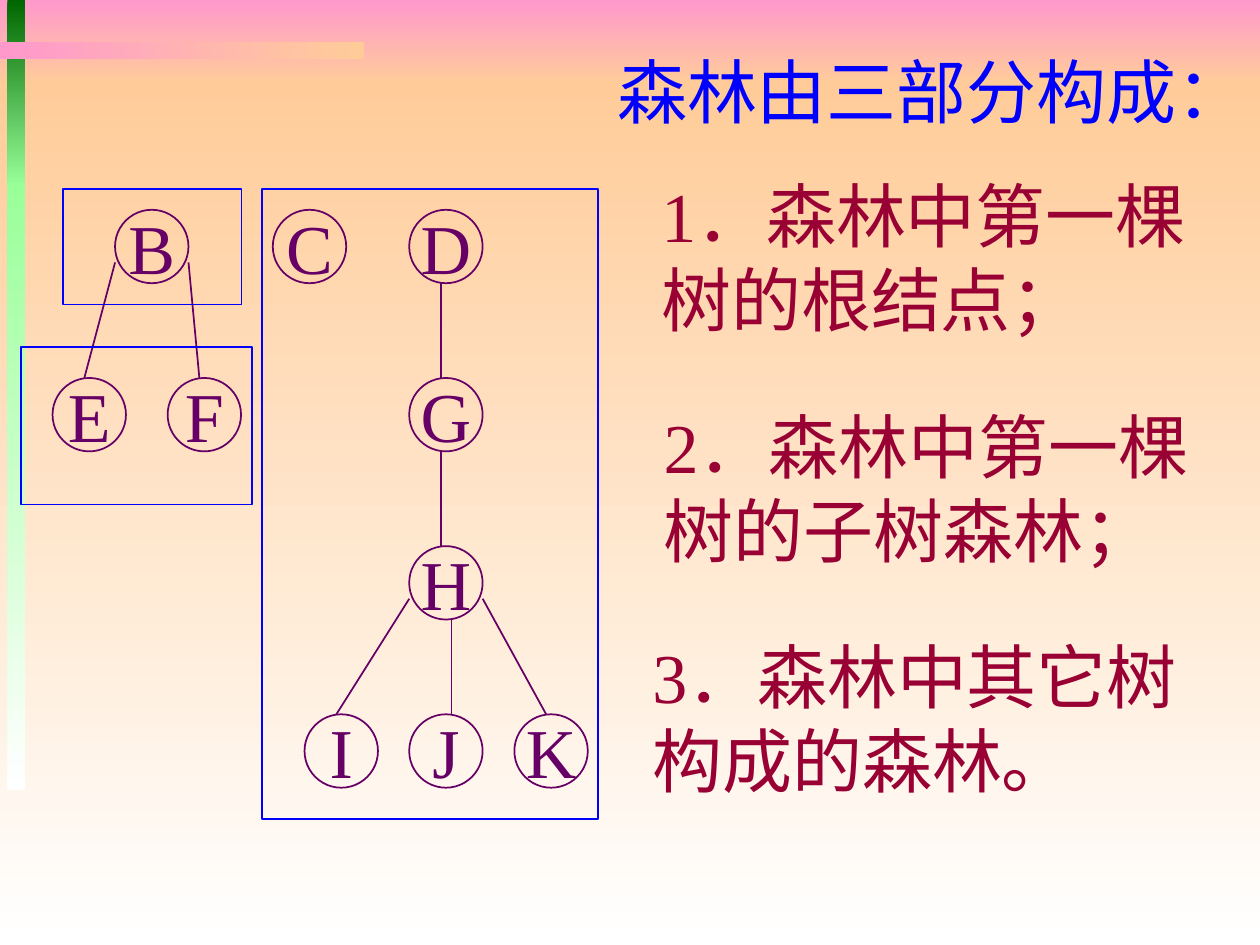
"""Build a slide that splits a forest into its three parts."""
from dataclasses import dataclass

import pptx
import pptx.dml.color
import pptx.enum.shapes
import pptx.enum.text
import pptx.oxml.ns
import pptx.oxml.xmlchemy
import pptx.util
from lxml import etree

Cm, Pt = pptx.util.Cm, pptx.util.Pt
Shape = pptx.enum.shapes.MSO_SHAPE
qn = pptx.oxml.ns.qn


@dataclass(frozen=True)
class Theme:
    """Colours, fonts and sizes of the slide."""
    pink: str = "FF99CC"
    peach: str = "FFCC99"
    white: str = "FFFFFF"
    dark_green: str = "006600"
    light_green: str = "99FF99"
    tree: str = "660066"
    frame: str = "0000FF"
    title: str = "0000FF"
    point: str = "990033"
    latin: str = "Times New Roman"
    chinese: str = "Noto Sans CJK SC"
    size: int = 40
    pitch: int = 48
    line: int = 1


THEME = Theme()
NODE = 1.48
NODE_TOP, ROW_STEP = 0.42, 3.39
NODES = {
    "B": (1.9, 0), "C": (5.08, 0), "D": (7.83, 0),
    "E": (0.64, 1), "F": (2.96, 1), "G": (7.83, 1),
    "H": (7.83, 2),
    "I": (5.72, 3), "J": (7.83, 3), "K": (9.95, 3),
}
LEFT, RIGHT, BELOW = (0, 1.06), (NODE, 1.06), (0.64, NODE)
EDGES = [
    ("B", "E", LEFT, 0.64), ("B", "F", RIGHT, 0.64),
    ("D", "G", BELOW, 0.64), ("G", "H", BELOW, 0.64),
    ("H", "J", (0.85, NODE), 0.85),
    ("H", "I", LEFT, 0.64), ("H", "K", RIGHT, 0.64),
]
FRAMES = [(0.85, 0, 3.6, 2.33), (0, 3.18, 4.66, 3.18), (4.87, 0, 6.77, 12.7)]
POINTS = [
    ("1", "．森林中第一棵树的根结点；", 0.18, 11.89),
    ("2", "．森林中第一棵树的子树森林；", 0.23, 11.63),
    ("3", "．森林中其它树构成的森林。", 0, 12.01),
]
POINT_STEP, POINT_HEIGHT = 4.65, 3.63


def set_values(target, values):
    """Set each named attribute of the target."""
    for name, value in values.items():
        setattr(target, name, value)


def rgb(code):
    """Return the colour of a hex code."""
    return pptx.dml.color.RGBColor.from_string(code)


def place(shape, box):
    """Give a shape its left, top, width and height in centimetres."""
    set_values(shape, dict(zip(("left", "top", "width", "height"), map(Cm, box))))


def add_span(para, text, color, font=THEME.latin):
    """Add a run of text with its Latin and Chinese fonts."""
    span = para.add_run()
    span.text = text
    set_values(span.font, {"size": Pt(THEME.size), "name": font, "bold": False})
    span.font.color.rgb = rgb(color)
    east_asian = etree.SubElement(span.font._element, qn("a:ea"))
    east_asian.set("typeface", THEME.chinese)


def draw_shape(page, kind, box, color=None):
    """Add an unfilled shape, outlined when a colour is given."""
    shape = page.shapes.add_shape(kind, *map(Cm, box))
    shape.shadow.inherit = False
    shape.fill.background()
    if color:
        shape.line.color.rgb = rgb(color)
        shape.line.width = Pt(THEME.line)
    else:
        shape.line.fill.background()
    return shape


def draw_backdrop(page, box):
    """Draw the gradient bands and stripes over the box."""
    left, top, width, height = box
    bands = [
        ((0, 0, width, 1.7), THEME.pink, THEME.peach, 270),
        ((0, 1.7, width, height - 1.7), THEME.peach, THEME.white, 270),
        ((0.15, 0, 0.36, 3.76), THEME.dark_green, THEME.light_green, 270),
        ((0.15, 3.71, 0.36, 12.22), THEME.light_green, THEME.white, 270),
        ((0, 0.84, 7.34, 0.36), THEME.pink, THEME.peach, 0),
    ]
    for (x, y, wide, high), start, end, angle in bands:
        band = draw_shape(page, Shape.RECTANGLE, (left + x, top + y, wide, high))
        band.fill.gradient()
        band.fill.gradient_angle = angle
        for stop, color in zip(band.fill.gradient_stops, (start, end)):
            stop.color.rgb = rgb(color)


def draw_forest(page, box):
    """Draw the nodes, edges and frames of the forest."""
    left, top = box[:2]
    corners = {name: (left + x, top + NODE_TOP + row * ROW_STEP)
               for name, (x, row) in NODES.items()}
    for name, (x, y) in corners.items():
        node = draw_shape(page, Shape.OVAL, (x, y, NODE, NODE), THEME.tree)
        set_values(node.text_frame, {
            "margin_left": 0, "margin_right": 0, "margin_top": 0,
            "margin_bottom": 0, "word_wrap": False,
            "vertical_anchor": pptx.enum.text.MSO_ANCHOR.MIDDLE})
        para = node.text_frame.paragraphs[0]
        para.alignment = pptx.enum.text.PP_ALIGN.CENTER
        add_span(para, name, THEME.tree)
    for parent, child, (dx, dy), end_x in EDGES:
        (px, py), (cx, cy) = corners[parent], corners[child]
        edge = page.shapes.add_connector(
            pptx.enum.shapes.MSO_CONNECTOR.STRAIGHT,
            *map(Cm, (px + dx, py + dy, cx + end_x, cy)))
        edge.line.color.rgb = rgb(THEME.tree)
        edge.line.width = Pt(THEME.line)
        etree.SubElement(edge._element.spPr, qn("a:effectLst"))
    for x, y, wide, high in FRAMES:
        draw_shape(page, Shape.RECTANGLE, (left + x, top + y, wide, high), THEME.frame)


def prepare_text(holder, box, wrap):
    """Move a placeholder to the front and return its plain paragraph."""
    holder.element.getparent().append(holder.element)
    place(holder, box)
    set_values(holder.text_frame, {
        "margin_left": Cm(0.25), "margin_right": Cm(0.25),
        "margin_top": Cm(0.13), "margin_bottom": Cm(0.13),
        "word_wrap": wrap, "auto_size": pptx.enum.text.MSO_AUTO_SIZE.NONE,
        "vertical_anchor": pptx.enum.text.MSO_ANCHOR.TOP})
    para = holder.text_frame.paragraphs[0]
    settings = para._p.get_or_add_pPr()
    settings.set("marL", "0")
    settings.set("indent", "0")
    etree.SubElement(settings, qn("a:buNone"))
    set_values(para, {"alignment": pptx.enum.text.PP_ALIGN.LEFT,
                      "line_spacing": Pt(THEME.pitch), "space_before": Pt(0)})
    return para


def write_title(page, box):
    """Write the slide title."""
    add_span(prepare_text(page.shapes.title, box, False), "森林由三部分构成：", THEME.title)


def write_points(page, box):
    """Write the three parts of the forest down the box."""
    left, top = box[:2]
    holders = list(page.placeholders)[1:]
    for row, (holder, point) in enumerate(zip(holders, POINTS)):
        number, text, shift, width = point
        area = (left + shift, top + row * POINT_STEP, width, POINT_HEIGHT)
        para = prepare_text(holder, area, True)
        add_span(para, number, THEME.point)
        add_span(para, text, THEME.point, THEME.chinese)
    for spare in holders[len(POINTS):]:
        spare.element.getparent().remove(spare.element)


def main():
    """Build and save the deck."""
    deck = pptx.Presentation()
    set_values(deck, {"slide_width": Cm(25.4), "slide_height": Cm(19.05)})
    page = deck.slides.add_slide(deck.slide_layouts[4])
    draw_backdrop(page, (0, 0, 25.4, 19.05))
    draw_forest(page, (0.42, 3.81, 11.64, 12.7))
    write_points(page, (12.9, 3.35, 12.12, 12.93))
    write_title(page, (12.19, 0.84, 13.2, 1.96))
    deck.save("out.pptx")


if __name__ == "__main__":
    main()
